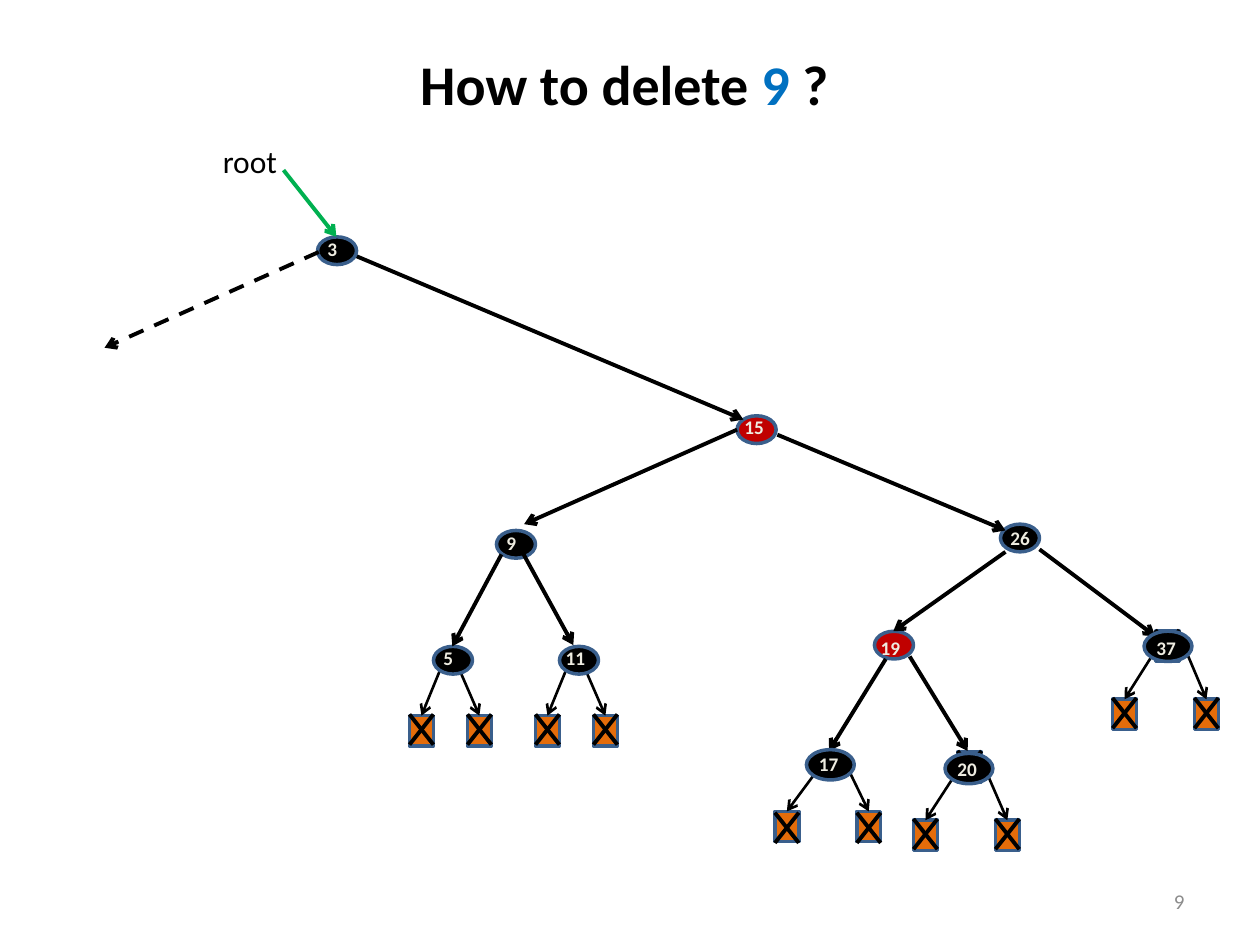
from lxml.etree import SubElement
from pptx import Presentation
from pptx.dml.color import RGBColor as RGB
from pptx.enum.dml import MSO_LINE as Dash
from pptx.enum.shapes import MSO_CONNECTOR as Link, MSO_SHAPE as Form
from pptx.enum.text import MSO_ANCHOR as Anchor, PP_ALIGN as Align
from pptx.oxml.ns import qn
from pptx.util import Inches, Pt

HUES = {
    "black": "000000", "red": "C00000", "leaf": "E46C0A", "rim": "3A5F8C",
    "key": "EEECE1", "blue": "0070C0", "green": "00B050", "gray": "8C8C8C",
}
TITLE = [("How to delete ", "black"), ("9 ", "blue"), ("?", "black")]

# key, left, top, colour, label offset x, y
INNER = [
    ("15", 5.85, 3.30, "red", -0.04, -0.05),
    ("26", 7.94, 4.16, "black", -0.02, -0.03),
    ("19", 6.94, 5.01, "red", -0.05, -0.01),
    ("9", 3.94, 4.21, "black", -0.02, -0.04),
    ("5", 3.44, 5.13, "black", -0.02, -0.05),
    ("11", 4.44, 5.13, "black", -0.05, -0.05),
]
ROOT = ("3", 2.52, 1.88, "black", -0.02, -0.05)
WIDE = [
    ("37", 9.08, 5.01, "black", 0, -0.01),
    ("20", 7.50, 5.98, "black", 0, -0.02),
    ("17", 6.40, 5.95, "black", 0, -0.03),
]
# Left and right leaf: leaf offset x, arrow start offset x, y
TWIGS = [(-0.19, 0.06, 0.17), (0.27, 0.20, 0.17)]
WIDE_TWIGS = [(-0.25, 0.06, 0.20), (0.40, 0.33, 0.15)]
# Leaf depth below the node, cross offset y
DROPS = {"5": (0.55, -0.01), "11": (0.55, -0.01), "37": (0.54, -0.01),
         "20": (0.53, -0.01), "17": (0.49, 0.01)}
STUBS = [(7.60, 5.97), (9.17, 5.01)]
EDGES = [
    (5.85, 3.41, 4.16, 4.16), (6.17, 3.45, 7.98, 4.21),
    (3.98, 4.40, 3.59, 5.13), (4.15, 4.39, 4.55, 5.12),
    (7.98, 4.38, 7.09, 5.01), (8.25, 4.36, 9.17, 5.05),
    (7.03, 5.23, 6.58, 5.96), (7.22, 5.21, 7.68, 5.96),
    (2.75, 2.00, 5.90, 3.33),
]
OVAL, BROAD, BOX = (0.31, 0.22), (0.38, 0.24), (0.19, 0.24)

deck = Presentation()
deck.slide_width, deck.slide_height = Inches(10), Inches(7.5)
shapes = deck.slides.add_slide(deck.slide_layouts[6]).shapes


def hue(name):
    return RGB.from_string(HUES[name])


def form(kind, x, y, size, fill):
    item = shapes.add_shape(kind, *map(Inches, (x, y, *size)))
    item.shadow.inherit = False
    item.fill.solid()
    item.fill.fore_color.rgb = hue(fill)
    item.line.color.rgb = hue("rim")
    item.line.width = Pt(2)
    return item


def line(ends, width=2.25, color="black", head=True, dash=False):
    link = shapes.add_connector(Link.STRAIGHT, *map(Inches, ends))
    link.line.color.rgb = hue(color)
    link.line.width = Pt(width)
    if dash:
        link.line.dash_style = Dash.DASH
    if head:
        SubElement(link.line._get_or_add_ln(), qn("a:tailEnd"), type="arrow")
    SubElement(link._element.spPr, qn("a:effectLst"))
    return link


def text(at, runs, size, bold=False, wrap=False, align=Align.LEFT,
         anchor=Anchor.TOP):
    frame = shapes.add_textbox(*map(Inches, at)).text_frame
    frame.word_wrap = wrap
    frame.vertical_anchor = anchor
    para = frame.paragraphs[0]
    para.alignment = align
    for words, color in runs:
        run = para.add_run()
        run.text = words
        run.font.name = "Calibri"
        run.font.size = Pt(size)
        run.font.bold = bold
        run.font.color.rgb = hue(color)
    return frame


def leaf(x, y, lift=-0.01):
    """Draw a crossed box that stands for an empty child."""
    box = form(Form.RECTANGLE, x, y, BOX, "leaf")
    right, top = x + BOX[0], y + lift
    low = top + BOX[1]
    line((right, top, x, low), head=False)
    line((x, top, right, low), head=False)
    return box


def leaves(node, twigs):
    key, x, y = node[:3]
    drop, lift = DROPS[key]
    for dx, sx, sy in twigs:
        box = leaf(x + dx, y + drop, lift)
        arrow = line((x + sx, y + sy, x + dx, y + drop), 1.5)
        arrow.end_connect(box, 0)


def oval(node, size=OVAL):
    form(Form.OVAL, node[1], node[2], size, node[3])


def label(node, wide=False):
    key, x, y, _, dx, dy = node
    width = 0.43 if wide else 0.28 if len(key) == 1 else 0.36
    text((x + dx, y + dy, width, 0.29), [(key, "key")], 11, True, wide)


head = text((0.08, 0.3, 9.75, 1.25), TITLE, 32, True, True, Align.CENTER)
head.margin_top = Inches(0.09)
text((7.17, 6.95, 2.33, 0.4), [("9", "gray")], 12, wrap=True,
     align=Align.RIGHT, anchor=Anchor.MIDDLE)

for node in INNER:
    if node[0] in DROPS:
        leaves(node, TWIGS)
for spot in STUBS:
    leaf(*spot)
for node in INNER:
    oval(node)
for ends in EDGES:
    line(ends)
for node in INNER:
    label(node)
for node in WIDE:
    leaves(node, WIDE_TWIGS)
    oval(node, BROAD)
    label(node, True)

oval(ROOT)
label(ROOT)
line((2.53, 2, 0.83, 2.76), dash=True)
line((2.25, 1.35, 2.67, 1.88), color="green")
text((1.67, 1.08, 0.64, 0.4), [("root", "black")], 18)

deck.save("out.pptx")
